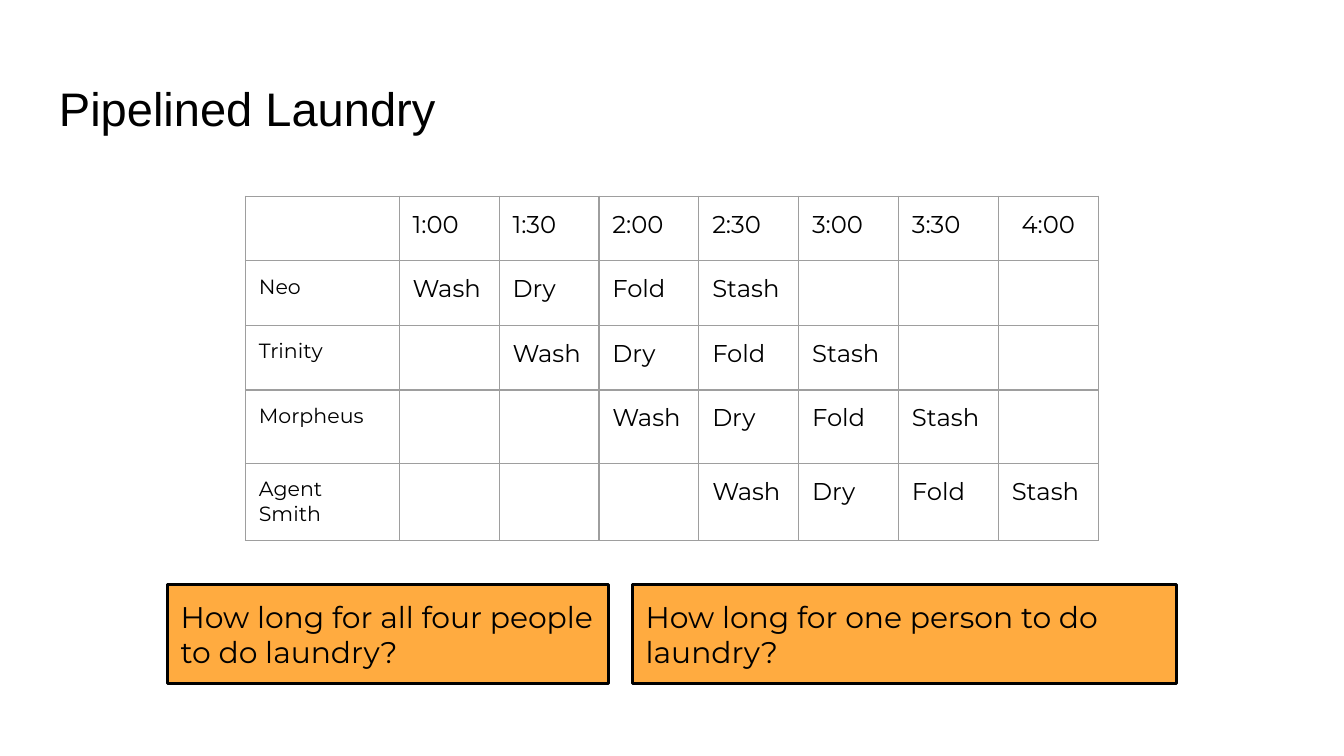
from dataclasses import dataclass

from lxml.etree import SubElement
from pptx import Presentation
from pptx.dml.color import RGBColor
from pptx.enum.shapes import MSO_SHAPE as Shape
from pptx.enum.text import MSO_ANCHOR as Anchor, PP_ALIGN as Align
from pptx.oxml.ns import qn
from pptx.util import Inches, Length, Pt

BLACK = RGBColor(0x00, 0x00, 0x00)
ORANGE = RGBColor(0xFF, 0xAB, 0x40)
GREY = RGBColor(0x9E, 0x9E, 0x9E)
BODY_FONT = "Montserrat"
TITLE_FONT = "Arial"

WIDTH = Inches(10)
HEIGHT = Length(WIDTH * 9 // 16)
INSET = Inches(0.1)
NARROW_INSET = Inches(0.03)

TIMES = ["1:00", "1:30", "2:00", "2:30", "3:00", "3:30", "4:00"]
PEOPLE = ["Neo", "Trinity", "Morpheus", "Agent Smith"]
STEPS = ["Wash", "Dry", "Fold", "Stash"]
NAME_WIDTH, SLOT_WIDTH = 11.45, 7.43
ROW_HEIGHTS = [8.54, 8.54, 8.54, 9.7, 10.23]


@dataclass(frozen=True)
class Box:
    left: float
    top: float
    width: float
    height: float

    def lengths(self) -> tuple[Length, ...]:
        return across(self.left), down(self.top), across(self.width), down(self.height)


@dataclass(frozen=True)
class Question:
    text: str
    box: Box


TITLE_BOX = Box(3.4, 8.65, 93.2, 11.2)
TABLE_BOX = Box(18.26, 25.96, NAME_WIDTH + SLOT_WIDTH * len(TIMES), sum(ROW_HEIGHTS))
QUESTIONS = [
    Question("How long for all four people to do laundry?", Box(12.46, 77.3, 32.8, 13.16)),
    Question("How long for one person to do laundry?", Box(47.06, 77.3, 40.5, 13.16)),
]


def across(percent: float) -> Length:
    return Length(round(WIDTH * percent / 100))


def down(percent: float) -> Length:
    return Length(round(HEIGHT * percent / 100))


def pad(holder, side: Length = INSET) -> None:
    holder.margin_left = holder.margin_right = side
    holder.margin_top = holder.margin_bottom = INSET


def write(tf, text: str, *, size: float = 13, font: str = BODY_FONT,
          align: Align = Align.LEFT) -> None:
    p = tf.paragraphs[0]
    p.alignment = align
    r = p.add_run()
    r.text = text
    r.font.size = Pt(size)
    r.font.name = font
    r.font.color.rgb = BLACK


def set_frame(tf) -> None:
    tf.word_wrap = True
    tf.vertical_anchor = Anchor.MIDDLE
    pad(tf)


def outline_cell(cell) -> None:
    tc_pr = cell._tc.get_or_add_tcPr()
    for edge in ("a:lnL", "a:lnR", "a:lnT", "a:lnB"):
        ln = SubElement(tc_pr, qn(edge), w=str(Pt(0.75)))
        fill = SubElement(ln, qn("a:solidFill"))
        SubElement(fill, qn("a:srgbClr"), val=str(GREY))
    cell.fill.background()


def add_title(s, text: str) -> None:
    tf = s.shapes.add_textbox(*TITLE_BOX.lengths()).text_frame
    set_frame(tf)
    write(tf, text, size=25.2, font=TITLE_FONT)


def add_schedule(s) -> None:
    table = s.shapes.add_table(len(PEOPLE) + 1, len(TIMES) + 1, *TABLE_BOX.lengths()).table
    table.first_row = table.horz_banding = False
    for i, column in enumerate(table.columns):
        column.width = across(SLOT_WIDTH if i else NAME_WIDTH)
    for row, height in zip(table.rows, ROW_HEIGHTS):
        row.height = down(height)
    for cell in table.iter_cells():
        outline_cell(cell)
    for col, time in enumerate(TIMES, 1):
        cell = table.cell(0, col)
        last = col == len(TIMES)
        pad(cell, NARROW_INSET if last else INSET)
        write(cell.text_frame, time, align=Align.CENTER if last else Align.LEFT)
    for row, person in enumerate(PEOPLE, 1):
        cell = table.cell(row, 0)
        pad(cell)
        write(cell.text_frame, person, size=11)
        for col, step in enumerate(STEPS, row):
            cell = table.cell(row, col)
            pad(cell)
            write(cell.text_frame, step)


def add_question(s, question: Question) -> None:
    sp = s.shapes.add_shape(Shape.RECTANGLE, *question.box.lengths())
    sp.shadow.inherit = False
    sp.fill.solid()
    sp.fill.fore_color.rgb = ORANGE
    sp.line.color.rgb = BLACK
    sp.line.width = Pt(1.5)
    set_frame(sp.text_frame)
    write(sp.text_frame, question.text, size=16)


def main() -> None:
    prs = Presentation()
    prs.slide_width, prs.slide_height = WIDTH, HEIGHT
    s = prs.slides.add_slide(prs.slide_layouts[6])
    add_schedule(s)
    add_title(s, "Pipelined Laundry")
    for question in QUESTIONS:
        add_question(s, question)
    prs.save("out.pptx")


if __name__ == "__main__":
    main()
